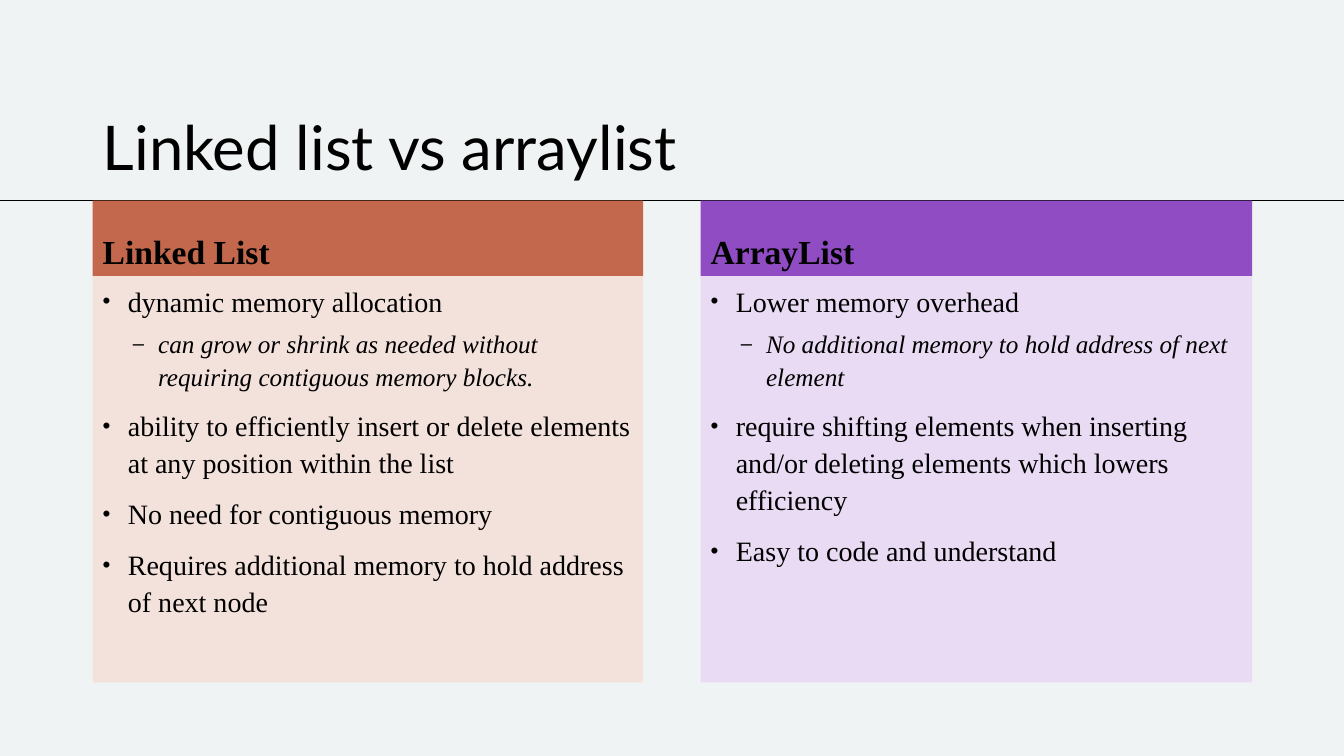
"""Build a slide that compares a linked list with an array list."""
from dataclasses import dataclass

from lxml.etree import SubElement
from pptx import Presentation
from pptx.dml.color import RGBColor
from pptx.enum.shapes import MSO_CONNECTOR, MSO_SHAPE
from pptx.enum.text import MSO_ANCHOR, PP_ALIGN
from pptx.oxml.ns import qn
from pptx.util import Inches, Pt

COLORS = {
    "background": "F0F3F3",
    "ink": "000000",
    "rust": "C3684D",
    "rust_light": "F3E1DB",
    "purple": "904DC3",
    "purple_light": "E9DBF3",
}
TITLE_FONT = "Lato"
BODY_FONT = "Times New Roman"
WIDTH, HEIGHT = 13.33, 7.5
RULE_Y = 1.99
HEAD_H = 0.75
BODY_H = 4.03


@dataclass(frozen=True)
class Level:
    bullet: str
    indent: float
    size: int
    before: int
    italic: bool


LEVELS = (
    Level("•", 0.25, 20, 10, False),
    Level("–", 0.55, 18, 5, True),
)


@dataclass(frozen=True)
class Point:
    text: str
    level: int = 0


@dataclass(frozen=True)
class Column:
    heading: str
    left: float
    width: float
    head_fill: str
    body_fill: str
    points: tuple[Point, ...]


COLUMNS = (
    Column("Linked List", 0.92, 5.46, "rust", "rust_light", (
        Point("dynamic memory allocation"),
        Point("can grow or shrink as needed without requiring contiguous memory blocks.", 1),
        Point("ability to efficiently insert or delete elements at any position within the list"),
        Point("No need for contiguous memory"),
        Point("Requires additional memory to hold address of next node"),
    )),
    Column("ArrayList", 6.95, 5.47, "purple", "purple_light", (
        Point("Lower memory overhead"),
        Point("No additional memory to hold address of next element", 1),
        Point("require shifting elements when inserting and/or deleting elements which lowers efficiency"),
        Point("Easy to code and understand"),
    )),
)


def color(name: str) -> RGBColor:
    return RGBColor.from_string(COLORS[name])


def add_run(p, text: str, size: int, font: str, bold: bool = False, italic: bool = False) -> None:
    r = p.add_run()
    r.text = text
    r.font.name = font
    r.font.size = Pt(size)
    r.font.bold = bold
    r.font.italic = italic
    r.font.color.rgb = color("ink")


def format_paragraph(p, spacing: float, before: int = 0) -> None:
    p.alignment = PP_ALIGN.LEFT
    p.line_spacing = spacing
    p.space_before = Pt(before)


def add_bullet(p, level: Level) -> None:
    pPr = p._p.get_or_add_pPr()
    pPr.set("marL", str(Inches(level.indent)))
    pPr.set("indent", str(Inches(-0.25)))
    SubElement(pPr, qn("a:buSzPct"), val="80000")
    SubElement(pPr, qn("a:buFont"), typeface="Arial")
    SubElement(pPr, qn("a:buChar"), char=level.bullet)


def add_panel(slide, left: float, top: float, width: float, height: float,
              fill: str, anchor: MSO_ANCHOR):
    sp = slide.shapes.add_shape(MSO_SHAPE.RECTANGLE, Inches(left), Inches(top),
                                Inches(width), Inches(height))
    sp.shadow.inherit = False
    sp.fill.solid()
    sp.fill.fore_color.rgb = color(fill)
    sp.line.fill.background()
    tf = sp.text_frame
    tf.word_wrap = True
    tf.vertical_anchor = anchor
    return tf


def add_rule(slide) -> None:
    line = slide.shapes.add_connector(MSO_CONNECTOR.STRAIGHT, Inches(WIDTH), Inches(RULE_Y),
                                      Inches(0), Inches(RULE_Y))
    line.line.color.rgb = color("ink")
    line.line.width = Pt(0.5)
    SubElement(line._element.spPr, qn("a:effectLst"))


def add_title(slide, text: str) -> None:
    box = slide.shapes.add_textbox(Inches(0.92), Inches(0.42), Inches(11.5), Inches(1.45))
    tf = box.text_frame
    tf.word_wrap = True
    tf.vertical_anchor = MSO_ANCHOR.BOTTOM
    p = tf.paragraphs[0]
    format_paragraph(p, 0.9)
    add_run(p, text, 44, TITLE_FONT)


def add_column(slide, col: Column) -> None:
    tf = add_panel(slide, col.left, RULE_Y, col.width, HEAD_H, col.head_fill, MSO_ANCHOR.BOTTOM)
    p = tf.paragraphs[0]
    format_paragraph(p, 1.1, 10)
    add_run(p, col.heading, 24, BODY_FONT, bold=True)

    tf = add_panel(slide, col.left, RULE_Y + HEAD_H, col.width, BODY_H, col.body_fill,
                   MSO_ANCHOR.TOP)
    for i, point in enumerate(col.points):
        p = tf.add_paragraph() if i else tf.paragraphs[0]
        level = LEVELS[point.level]
        p.level = point.level
        format_paragraph(p, 1.1, level.before)
        add_bullet(p, level)
        add_run(p, point.text, level.size, BODY_FONT, italic=level.italic)


def main() -> None:
    prs = Presentation()
    prs.slide_width = Inches(WIDTH)
    prs.slide_height = Inches(HEIGHT)
    slide = prs.slides.add_slide(prs.slide_layouts[6])
    slide.background.fill.solid()
    slide.background.fill.fore_color.rgb = color("background")
    add_rule(slide)
    add_title(slide, "Linked list vs arraylist")
    for col in COLUMNS:
        add_column(slide, col)
    prs.save("out.pptx")


if __name__ == "__main__":
    main()
